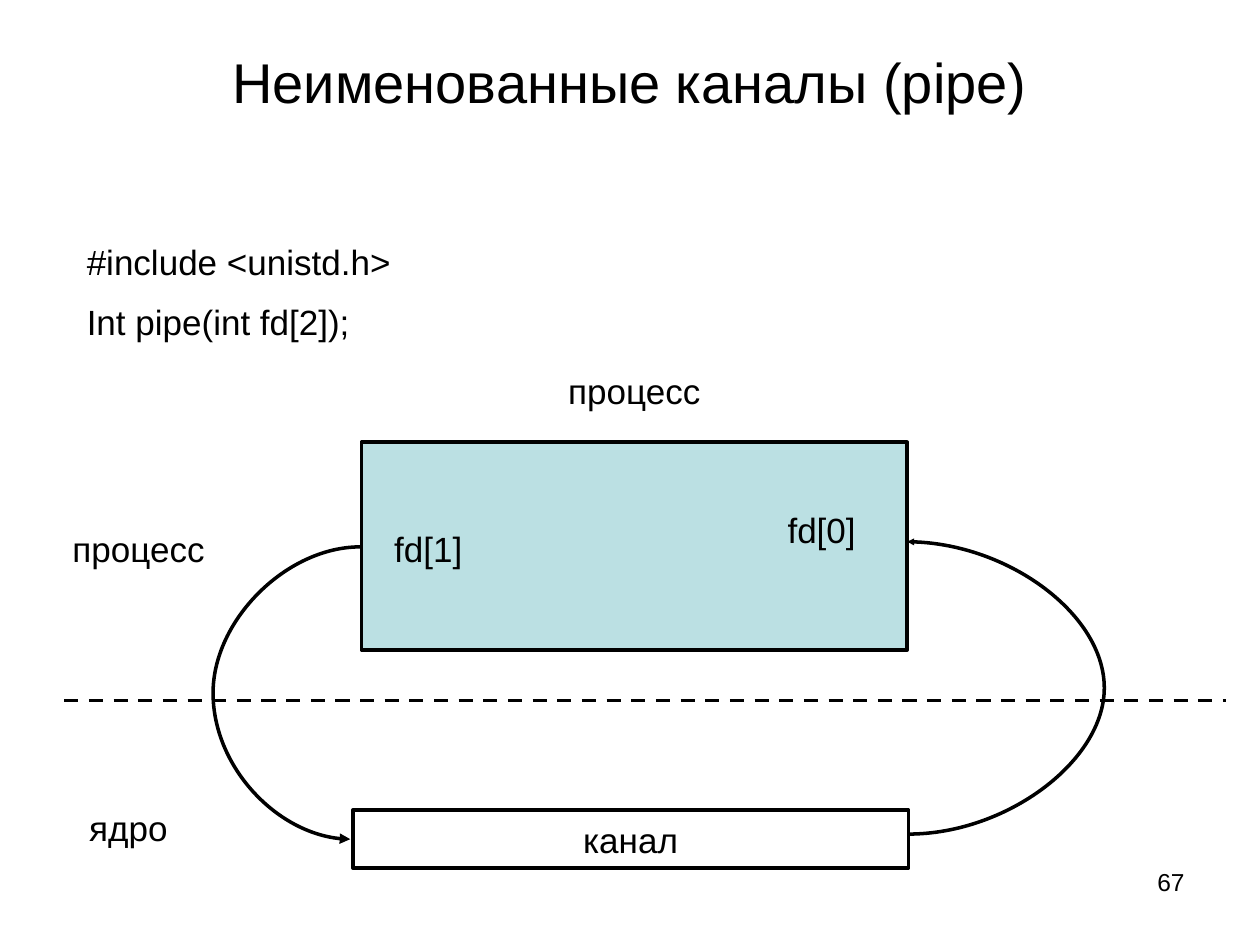
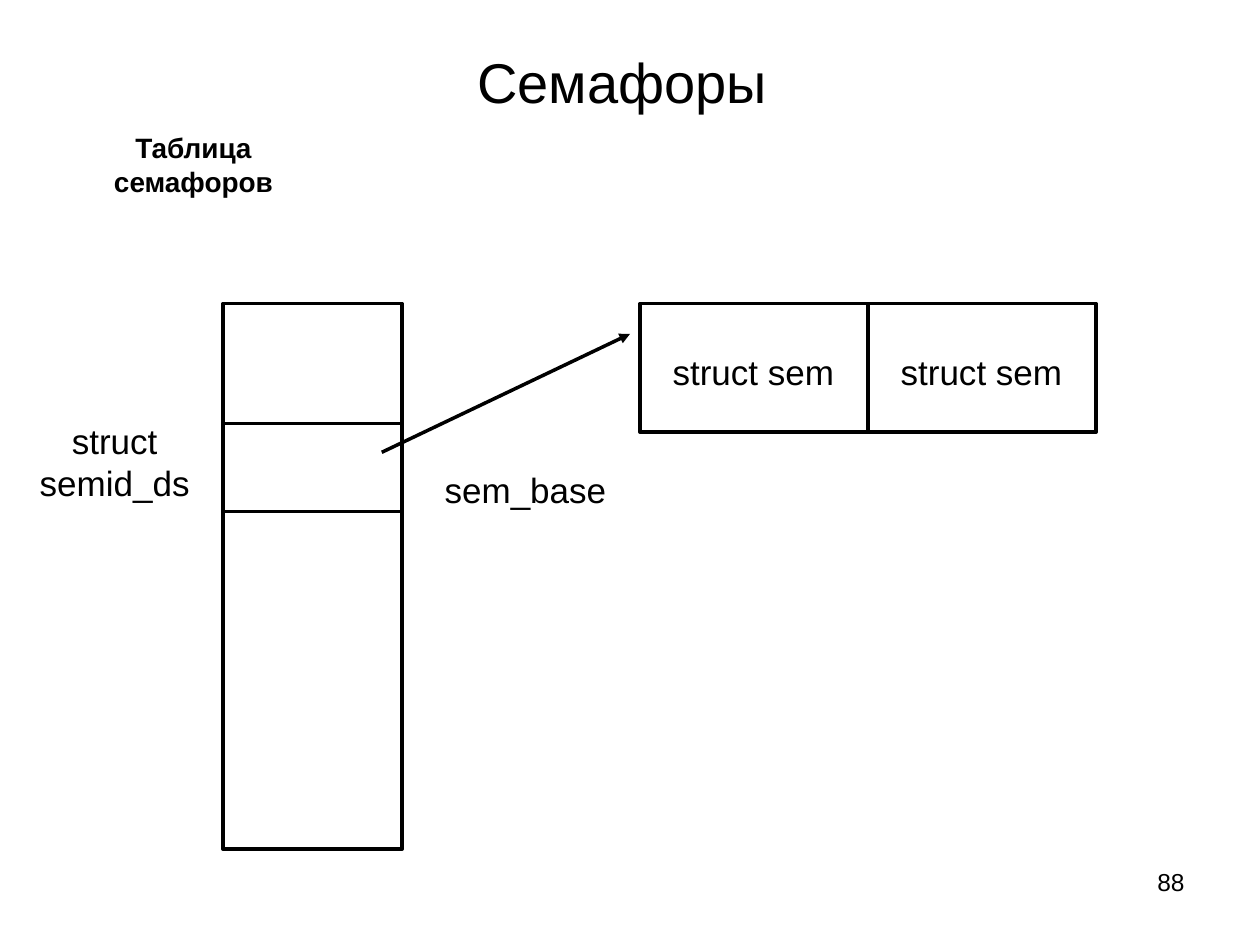
from lxml import etree
from pptx import Presentation
from pptx.dml.color import RGBColor
from pptx.enum.dml import MSO_LINE
from pptx.enum.shapes import MSO_CONNECTOR, MSO_SHAPE
from pptx.enum.text import MSO_ANCHOR, PP_ALIGN
from pptx.oxml.ns import qn
from pptx.util import Inches, Pt

LEFT, CENTER, RIGHT = PP_ALIGN.LEFT, PP_ALIGN.CENTER, PP_ALIGN.RIGHT
TOP, MIDDLE = MSO_ANCHOR.TOP, MSO_ANCHOR.MIDDLE
STRAIGHT, CURVE = MSO_CONNECTOR.STRAIGHT, MSO_CONNECTOR.CURVE
RECTANGLE, DASH = MSO_SHAPE.RECTANGLE, MSO_LINE.DASH

COLORS = {"ink": "000000", "process": "BBE0E3"}
FONT = "Arial"
BODY_SIZE = 20
LINE_WIDTH = Pt(2)
LABEL_HEIGHT = 0.43


def color(name):
    return RGBColor.from_string(COLORS[name])


def write(shape, lines, size=BODY_SIZE, align=LEFT, anchor=TOP, bold=False):
    frame = shape.text_frame
    frame.word_wrap = True
    frame.vertical_anchor = anchor
    frame.text = "\n".join(lines)
    for index, para in enumerate(frame.paragraphs):
        para.alignment = align
        if index:
            para.space_before = Pt(size / 2)
        for span in para.runs:
            span.font.name = FONT
            span.font.size = Pt(size)
            span.font.bold = bold
            span.font.color.rgb = color("ink")


def add_text(page, box, *lines, **style):
    shape = page.shapes.add_textbox(*map(Inches, box))
    write(shape, lines, **style)


def add_box(page, box, fill=None):
    shape = page.shapes.add_shape(RECTANGLE, *map(Inches, box))
    shape.shadow.inherit = False
    if fill:
        shape.fill.solid()
        shape.fill.fore_color.rgb = color(fill)
    else:
        shape.fill.background()
    shape.line.color.rgb = color("ink")
    shape.line.width = LINE_WIDTH
    return shape


def add_line(page, start, end, kind=STRAIGHT, arrow=None, dash=None):
    """Draw a line; arrow is the size of its head: sm, med or lg."""
    line = page.shapes.add_connector(kind, *map(Inches, (*start, *end)))
    line.line.color.rgb = color("ink")
    line.line.width = LINE_WIDTH
    if dash:
        line.line.dash_style = dash
    if arrow:
        etree.SubElement(line.line._get_or_add_ln(), qn("a:tailEnd"),
                         type="triangle", w=arrow, len=arrow)
    etree.SubElement(line._element.spPr, qn("a:effectLst"))
    return line


def add_loop(page, start, end, bulge, arrow):
    """Draw a curved arrow that swings out to x = bulge."""
    loop = add_line(page, start, end, CURVE, arrow)
    ratio = (bulge - start[0]) / (end[0] - start[0])
    geometry = loop._element.spPr.find(qn("a:prstGeom"))
    guides = geometry.find(qn("a:avLst"))
    if guides is None:
        guides = etree.SubElement(geometry, qn("a:avLst"))
    etree.SubElement(guides, qn("a:gd"), name="adj1",
                     fmla=f"val {round(ratio * 100000)}")


def add_page(deck, title, number):
    page = deck.slides.add_slide(deck.slide_layouts[6])
    add_text(page, (7.17, 6.83, 2.33, 0.52), number, size=14, align=RIGHT)
    add_text(page, (0.5, 0.3, 9, 0.69), title, size=32, align=CENTER, anchor=MIDDLE)
    return page


def draw_process(page, box):
    left, top, width, height = box
    add_text(page, (left, top - 0.63, width, LABEL_HEIGHT), "процесс", align=CENTER)
    add_box(page, box, "process")
    add_text(page, (left + 0.16, top + 0.63, 1.42, LABEL_HEIGHT), "fd[1]")
    add_text(page, (left + width - 1.73, top + 0.48, 1.42, LABEL_HEIGHT),
             "fd[0]", align=RIGHT)


def draw_channel(page, box):
    write(add_box(page, box), ["канал"], align=CENTER, anchor=MIDDLE)


def draw_levels(page, left, top, width):
    """Border between process and kernel, with both sides named."""
    add_line(page, (left, top), (left + width, top), dash=DASH)
    for name, center, offset in (("процесс", 1.1, -1.42), ("ядро", 1.02, 0.79)):
        add_text(page, (center - 0.75, top + offset, 1.5, LABEL_HEIGHT),
                 name, align=CENTER)


def build_pipe_page(deck):
    page = add_page(deck, "Неименованные каналы (pipe)", "67")
    add_text(page, (0.59, 1.86, 8.82, 0.93),
             "#include <unistd.h>", "Int pipe(int fd[2]);")
    draw_process(page, (2.87, 3.51, 4.33, 1.65))
    draw_channel(page, (2.8, 6.43, 4.41, 0.46))
    add_loop(page, (2.86, 4.34), (2.78, 6.66), 1.69, "med")
    add_loop(page, (7.21, 6.62), (7.2, 4.3), 8.79, "sm")
    draw_levels(page, 0.51, 5.56, 9.22)


def draw_semaphore_table(page, box):
    left, top, width, height = box
    add_box(page, box)
    for offset in (0.95, 1.65):
        add_line(page, (left, top + offset), (left + width, top + offset))
    add_text(page, (left - 1.57, top + 0.87, 1.42, 0.77),
             "struct semid_ds", align=CENTER)


def draw_semaphore_set(page, box, count=2):
    left, top, width, height = box
    cell = width / count
    add_box(page, box)
    for index in range(count):
        cell_left = left + index * cell
        if index:
            add_line(page, (cell_left, top), (cell_left, top + height))
        add_text(page, (cell_left + 0.16, top + 0.32, 1.5, LABEL_HEIGHT), "struct sem")


def build_semaphore_page(deck):
    page = add_page(deck, "Семафоры ", "88")
    add_text(page, (0.59, 0.99, 1.89, 0.64), "Таблица семафоров",
             size=16, align=CENTER, bold=True)
    draw_semaphore_table(page, (1.77, 2.41, 1.42, 4.33))
    draw_semaphore_set(page, (5.08, 2.41, 3.62, 1.02))
    # Pointer from the table entry to its set
    add_line(page, (3.03, 3.59), (5, 2.65), arrow="med")
    add_text(page, (3.43, 3.67, 1.81, LABEL_HEIGHT), "sem_base")


def main():
    deck = Presentation()
    deck.slide_width, deck.slide_height = Inches(10), Inches(7.5)
    build_pipe_page(deck)
    build_semaphore_page(deck)
    deck.save("out.pptx")


if __name__ == "__main__":
    main()
